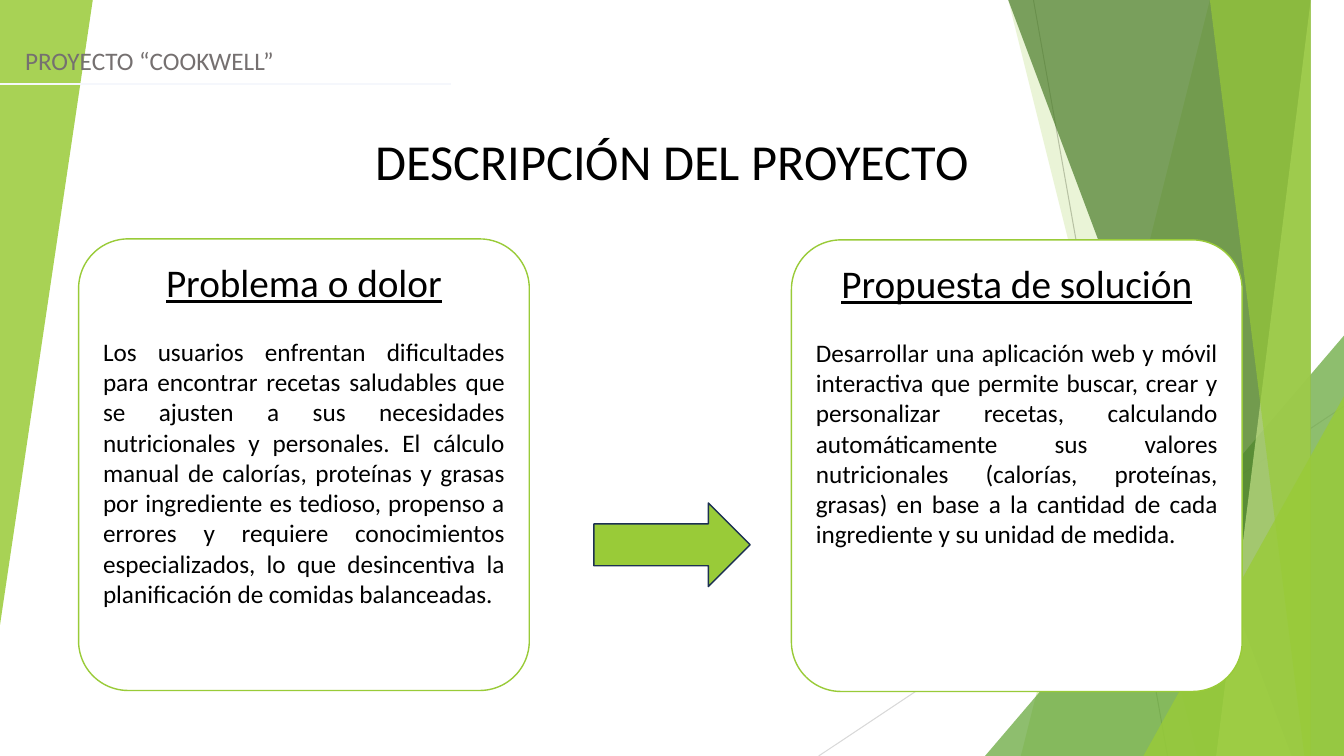
"""Build the project description slide with its problem and solution cards."""
from lxml import etree
from pptx import Presentation
from pptx.dml.color import RGBColor
from pptx.enum import shapes, text
from pptx.oxml import ns
from pptx.util import Inches, Pt

WHITE = RGBColor(0xFF, 0xFF, 0xFF)
BLACK = RGBColor(0x00, 0x00, 0x00)
LIME = RGBColor(0x99, 0xCB, 0x38)
PALE_LIME = RGBColor(0xC2, 0xE0, 0x88)
GREEN = RGBColor(0x63, 0xA5, 0x37)
DARK_GREEN = RGBColor(0x4A, 0x7C, 0x29)
NAVY = RGBColor(0x1C, 0x30, 0x52)
GREY = RGBColor(0x75, 0x70, 0x70)
MID_GREY = RGBColor(0xBF, 0xBF, 0xBF)
LIGHT_GREY = RGBColor(0xD9, 0xD9, 0xD9)
RULE_GREY = RGBColor(0xF5, 0xF7, 0xFC)
WIDTH, HEIGHT = 13.33, 7.5

presentation = Presentation()
presentation.slide_width = Inches(WIDTH)
presentation.slide_height = Inches(HEIGHT)
slide = presentation.slides.add_slide(presentation.slide_layouts[5])


def add_rule(start, end, color, width):
    points = [Inches(value) for value in start + end]
    rule = slide.shapes.add_connector(shapes.MSO_CONNECTOR.STRAIGHT, *points)
    rule.line.color.rgb = color
    rule.line.width = Pt(width)
    etree.SubElement(rule._element.spPr, ns.qn("a:effectLst"))


def write(paragraph, content, size, color, align, underline=False):
    paragraph.text = content
    paragraph.alignment = align
    styles = {"name": "Calibri", "size": Pt(size), "underline": underline}
    for name, value in styles.items():
        setattr(paragraph.font, name, value)
    paragraph.font.color.rgb = color


add_rule((10.25, 0), (11.58, HEIGHT), MID_GREY, 0.75)
add_rule((WIDTH, 4.03), (8.12, HEIGHT), LIGHT_GREY, 0.75)

# Facets give their top and bottom x; triangles give left, top, width, height and rotation.
decorations = [
    ((12.28, 10.04), LIME, 30),
    ((10.5, 11.83), LIME, 20),
    ((9.77, 3.33, 3.56, 4.17, 0), GREEN, 72),
    ((10.21, 12.91), DARK_GREEN, 70),
    ((13.03, 11.92), PALE_LIME, 70),
    ((11.96, 13.18), LIME, 65),
    ((11.34, 3.93, 1.99, 3.57, 0), LIME, 80),
    ((0, 0, 0.92, 6.2, 180), LIME, 85),
]
for geometry, color, opacity in decorations:
    if len(geometry) == 2:
        top_x, bottom_x = geometry
        builder = slide.shapes.build_freeform(top_x, 0, scale=Inches(1))
        builder.add_line_segments([(WIDTH, 0), (WIDTH, HEIGHT), (bottom_x, HEIGHT)])
        shape = builder.convert_to_shape()
    else:
        *box, rotation = geometry
        shape = slide.shapes.add_shape(
            shapes.MSO_SHAPE.ISOSCELES_TRIANGLE, *map(Inches, box))
        shape.adjustments[0] = 1
        shape.rotation = rotation
    shape.shadow.inherit = False
    shape.line.fill.background()
    shape.fill.solid()
    shape.fill.fore_color.rgb = color
    color_element = shape._element.spPr.find(".//" + ns.qn("a:srgbClr"))
    etree.SubElement(color_element, ns.qn("a:alpha"), val=str(opacity * 1000))

header = slide.shapes.add_textbox(Inches(0.15), Inches(0.4), Inches(WIDTH), Inches(0.4))
header.text_frame.word_wrap = True
write(header.text_frame.paragraphs[0], "PROYECTO “COOKWELL”", 18, GREY, text.PP_ALIGN.LEFT)

title = slide.shapes.title
frame = {"left": 0, "top": 1.24, "width": WIDTH, "height": 0.71}
for name, value in frame.items():
    setattr(title, name, Inches(value))
title.text_frame.vertical_anchor = text.MSO_ANCHOR.TOP
title.text_frame.auto_size = text.MSO_AUTO_SIZE.NONE
write(title.text_frame.paragraphs[0], "DESCRIPCIÓN DEL PROYECTO", 36, BLACK,
      text.PP_ALIGN.CENTER)

add_rule((0, 0.83), (4.47, 0.83), RULE_GREY, 1.25)

cards = [
    (0.78, 2.37, "Problema o dolor",
     "Los usuarios enfrentan dificultades para encontrar recetas saludables que se "
     "ajusten a sus necesidades nutricionales y personales. El cálculo manual de "
     "calorías, proteínas y grasas por ingrediente es tedioso, propenso a errores y "
     "requiere conocimientos especializados, lo que desincentiva la planificación de "
     "comidas balanceadas."),
    (7.85, 2.38, "Propuesta de solución",
     "Desarrollar una aplicación web y móvil interactiva que permite buscar, crear y "
     "personalizar recetas, calculando automáticamente sus valores nutricionales "
     "(calorías, proteínas, grasas) en base a la cantidad de cada ingrediente y su "
     "unidad de medida."),
]
for left, top, heading, body in cards:
    card = slide.shapes.add_shape(shapes.MSO_SHAPE.ROUNDED_RECTANGLE, Inches(left),
                                  Inches(top), Inches(4.47), Inches(4.48))
    card.adjustments[0] = 0.11
    card.shadow.inherit = False
    card.fill.solid()
    card.fill.fore_color.rgb = WHITE
    card.line.color.rgb = LIME
    card.line.width = Pt(1)
    card.text_frame.word_wrap = True
    card.text_frame.vertical_anchor = text.MSO_ANCHOR.TOP
    write(card.text_frame.paragraphs[0], heading, 28, BLACK, text.PP_ALIGN.CENTER, True)
    paragraph = card.text_frame.add_paragraph()
    write(paragraph, body, 18, BLACK, text.PP_ALIGN.JUSTIFY)
    paragraph.space_before = Pt(22)

arrow = slide.shapes.add_shape(shapes.MSO_SHAPE.RIGHT_ARROW, Inches(5.89), Inches(4.99),
                               Inches(1.55), Inches(0.83))
arrow.shadow.inherit = False
arrow.fill.solid()
arrow.fill.fore_color.rgb = LIME
arrow.line.color.rgb = NAVY
arrow.line.width = Pt(1)

presentation.save("out.pptx")
